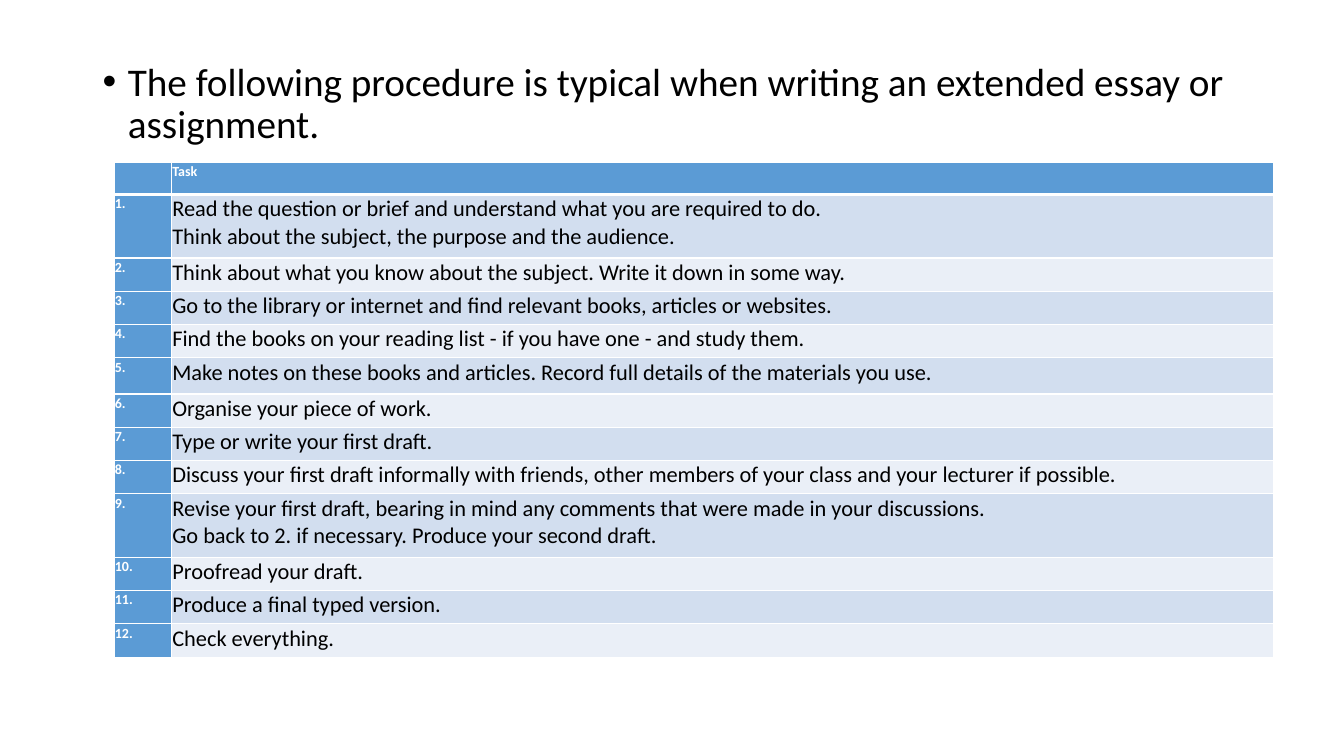
from dataclasses import dataclass

from lxml.etree import SubElement
from pptx import Presentation
from pptx.dml.color import RGBColor as RGB
from pptx.oxml import parse_xml
from pptx.oxml.ns import nsdecls, qn
from pptx.util import Inches, Pt


@dataclass(frozen=True)
class Theme:
    """Colours, font and type sizes of the slide."""
    font: str = "Calibri"
    black: str = "000000"
    white: str = "FFFFFF"
    head: str = "5B9BD5"
    bands: tuple = ("D2DEEF", "EAEFF7")
    intro_size: int = 28
    task_size: int = 16
    label_size: int = 10
    rule: int = 1
    head_rule: int = 3


THEME = Theme()
INTRO = "The following procedure is typical when writing an extended essay or assignment."
TASKS = [
    ["Read the question or brief and understand what you are required to do.",
     "Think about the subject, the purpose and the audience."],
    ["Think about what you know about the subject. Write it down in some way."],
    ["Go to the library or internet and find relevant books, articles or websites."],
    ["Find the books on your reading list - if you have one - and study them."],
    ["Make notes on these books and articles. Record full details of the materials you use."],
    ["Organise your piece of work."],
    ["Type or write your first draft."],
    ["Discuss your first draft informally with friends, other members of your class "
     "and your lecturer if possible."],
    ["Revise your first draft, bearing in mind any comments that were made in your discussions.",
     "Go back to 2. if necessary. Produce your second draft."],
    ["Proofread your draft."],
    ["Produce a final typed version."],
    ["Check everything."],
]
ROW_HEIGHTS = [0.3, 0.63, 0.33, 0.33, 0.33, 0.36, 0.33, 0.33, 0.33, 0.63, 0.33, 0.33, 0.33]
LABEL_WIDTH = 0.57


def add_text(p, text, size, color, bold=False):
    """Add one styled run to a paragraph."""
    r = p.add_run()
    r.text = text
    r.font.name = THEME.font
    r.font.size = Pt(size)
    r.font.bold = bold
    r.font.color.rgb = RGB.from_string(color)


def add_intro(s, left, top, width, height):
    """Place the bulleted introduction in its box."""
    tf = s.shapes.add_textbox(Inches(left), Inches(top), Inches(width), Inches(height)).text_frame
    tf.word_wrap = True
    p = tf.paragraphs[0]
    p.line_spacing = 0.9
    p.space_before = Pt(10)
    add_text(p, INTRO, THEME.intro_size, THEME.black)
    ppr = p._p.get_or_add_pPr()
    ppr.set("marL", str(Inches(0.25)))
    ppr.set("indent", str(-Inches(0.25)))
    SubElement(ppr, qn("a:buFont")).set("typeface", "Arial")
    SubElement(ppr, qn("a:buChar")).set("char", "•")


def set_borders(cell, top, bottom):
    """Draw white rules on all four sides of a cell."""
    widths = {"L": THEME.rule, "R": THEME.rule, "T": top, "B": bottom}
    for i, (side, width) in enumerate(widths.items()):
        cell._tc.get_or_add_tcPr().insert(i, parse_xml(
            f'<a:ln{side} {nsdecls("a")} w="{Pt(width)}"><a:solidFill>'
            f'<a:srgbClr val="{THEME.white}"/></a:solidFill></a:ln{side}>'))


def fill_cell(cell, lines, fill, size, color, bold, row):
    """Write lines into a cell and set its fill, margins and rules."""
    cell.margin_left = cell.margin_right = cell.margin_top = cell.margin_bottom = Inches(0.01)
    cell.fill.solid()
    cell.fill.fore_color.rgb = RGB.from_string(fill)
    tf = cell.text_frame
    for i, line in enumerate(lines):
        p = tf.add_paragraph() if i else tf.paragraphs[0]
        add_text(p, line, size, color, bold)
    set_borders(cell, THEME.head_rule if row == 1 else THEME.rule,
                THEME.head_rule if row == 0 else THEME.rule)


def add_tasks(s, left, top, width, height):
    """Place the numbered task table in its box."""
    table = s.shapes.add_table(len(TASKS) + 1, 2, Inches(left), Inches(top),
                               Inches(width), Inches(height)).table
    table.columns[0].width = Inches(LABEL_WIDTH)
    table.columns[1].width = Inches(width - LABEL_WIDTH)
    for row, row_height in zip(table.rows, ROW_HEIGHTS):
        row.height = Inches(row_height)
    label = (THEME.head, THEME.label_size, THEME.white, True)
    fill_cell(table.cell(0, 0), [""], *label, 0)
    fill_cell(table.cell(0, 1), ["Task"], *label, 0)
    for n, lines in enumerate(TASKS, 1):
        band = THEME.bands[(n - 1) % 2]
        fill_cell(table.cell(n, 0), [f"{n}."], *label, n)
        fill_cell(table.cell(n, 1), lines, band, THEME.task_size, THEME.black, False, n)


def main():
    """Build and save the slide."""
    prs = Presentation()
    prs.slide_width, prs.slide_height = Inches(13.33), Inches(7.5)
    s = prs.slides.add_slide(prs.slide_layouts[6])
    add_intro(s, 0.92, 0.57, 11.5, 4.65)
    add_tasks(s, 1.13, 1.61, 11.5, 4.9)
    prs.save("out.pptx")


if __name__ == "__main__":
    main()
